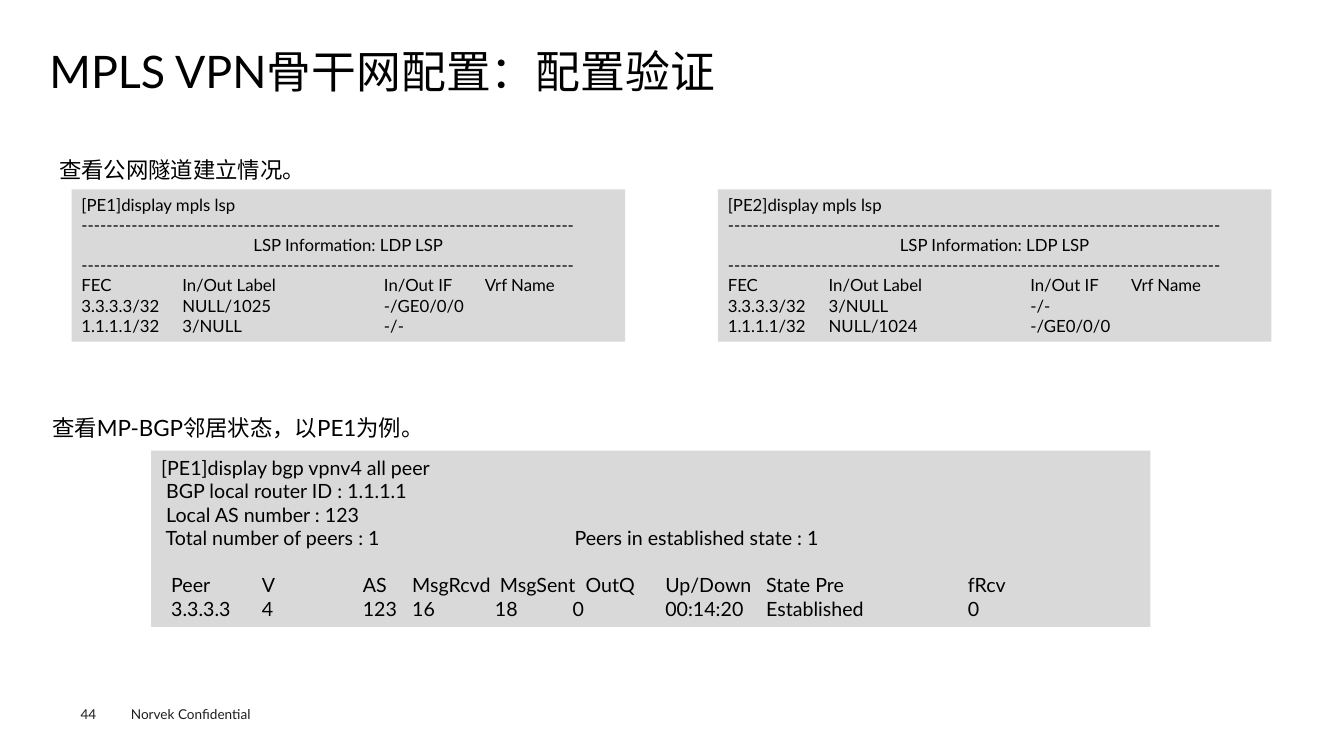
from lxml.etree import SubElement
from pptx import Presentation
from pptx.dml.color import RGBColor
from pptx.enum.shapes import MSO_SHAPE
from pptx.enum.text import MSO_ANCHOR, PP_ALIGN
from pptx.oxml.ns import qn
from pptx.util import Pt

PX = 9144
FONT = "Lato"
BLACK = RGBColor(0x00, 0x00, 0x00)
FOOTER_INK = RGBColor(0x1D, 0x1D, 0x1B)
PANEL_GREY = RGBColor(0xD9, 0xD9, 0xD9)

RULE = "-" * 79
LSP_TITLE = "LSP Information: LDP LSP"
LSP_HEADER = "FEC\tIn/Out Label\tIn/Out IF\tVrf Name"
LSP_TABS = (100, 300, 400)
LSP_ROWS = {
    "PE1": ("3.3.3.3/32\tNULL/1025\t-/GE0/0/0", "1.1.1.1/32\t3/NULL\t-/-"),
    "PE2": ("3.3.3.3/32\t3/NULL\t-/-", "1.1.1.1/32\tNULL/1024\t-/GE0/0/0"),
}
BGP_SUMMARY = (
    "[PE1]display bgp vpnv4 all peer",
    " BGP local router ID : 1.1.1.1",
    " Local AS number : 123",
    " Total number of peers : 1\tPeers in established state : 1",
)
BGP_HEADER = "  Peer\tV\tAS\tMsgRcvd\tMsgSent\tOutQ\tUp/Down\tState Pre\tfRcv"
BGP_PEER = "  3.3.3.3\t4\t123\t16\t18\t0\t00:14:20\tEstablished\t0"
SUMMARY_TABS = (410,)
HEADER_TABS = (100, 200, 249, 336, 421, 500, 600, 800)
PEER_TABS = (100, 200, 249, 331, 408, 500, 600, 800)


def to_emu(box):
    """Turn a box in px into EMU."""
    return [length * PX for length in box]


def write_line(paragraph, text, size, color=BLACK, align=PP_ALIGN.LEFT, tabs=()):
    """Write one line as a run, with its tab stops in px."""
    paragraph.alignment = align
    if tabs:
        stops = SubElement(paragraph._p.get_or_add_pPr(), qn("a:tabLst"))
        for stop in tabs:
            SubElement(stops, qn("a:tab"), pos=str(stop * PX), algn="l")
    run = paragraph.add_run()
    run.text = text
    run.font.name = FONT
    run.font.size = Pt(size)
    run.font.color.rgb = color


def clear_margins(frame):
    """Remove the inner margins of a text frame."""
    frame.margin_left = frame.margin_right = 0
    frame.margin_top = frame.margin_bottom = 0


def add_title(slide, box, text):
    """Place and fill the title placeholder."""
    title = slide.shapes.title
    title.left, title.top, title.width, title.height = to_emu(box)
    frame = title.text_frame
    clear_margins(frame)
    frame.vertical_anchor = MSO_ANCHOR.TOP
    frame.paragraphs[0].line_spacing = 0.9
    write_line(frame.paragraphs[0], text, 32)


def add_label(slide, box, text, size, color=BLACK):
    """Add a one-line text box and return its frame."""
    frame = slide.shapes.add_textbox(*to_emu(box)).text_frame
    frame.word_wrap = True
    write_line(frame.paragraphs[0], text, size, color)
    return frame


def add_caption(slide, box, text):
    """Add the sentence that introduces a console panel."""
    frame = add_label(slide, box, text, 16)
    frame.paragraphs[0].line_spacing = 1.5


def add_console(slide, box):
    """Add a grey console panel and return its text frame."""
    panel = slide.shapes.add_shape(MSO_SHAPE.RECTANGLE, *to_emu(box))
    panel.shadow.inherit = False
    panel.fill.solid()
    panel.fill.fore_color.rgb = PANEL_GREY
    panel.line.fill.background()
    frame = panel.text_frame
    frame.word_wrap = True
    frame.vertical_anchor = MSO_ANCHOR.TOP
    return frame


def add_lsp_console(slide, box, router):
    """Show the label switched paths of one router."""
    frame = add_console(slide, box)
    write_line(frame.paragraphs[0], f"[{router}]display mpls lsp", 12)
    for text in (RULE, LSP_TITLE, RULE):
        align = PP_ALIGN.CENTER if text == LSP_TITLE else PP_ALIGN.LEFT
        write_line(frame.add_paragraph(), text, 12, align=align)
    for row in (LSP_HEADER, *LSP_ROWS[router]):
        write_line(frame.add_paragraph(), row, 12, tabs=LSP_TABS)


def add_bgp_console(slide, box):
    """Show the BGP summary and its peer table."""
    frame = add_console(slide, box)
    write_line(frame.paragraphs[0], BGP_SUMMARY[0], 14)
    for text in BGP_SUMMARY[1:]:
        write_line(frame.add_paragraph(), text, 14, tabs=SUMMARY_TABS)
    header = frame.add_paragraph()
    header.space_before = Pt(16.8)
    write_line(header, BGP_HEADER, 14, tabs=HEADER_TABS)
    write_line(frame.add_paragraph(), BGP_PEER, 14, tabs=PEER_TABS)


def add_footer(slide, box):
    """Add the page number and the confidentiality note."""
    left, top, width, height = box
    number = add_label(slide, (left, top + 5, 40, 16), "44", 9.7, FOOTER_INK)
    clear_margins(number)
    note_box = (left + 40, top, width - 40, height)
    add_label(slide, note_box, "Norvek Confidential", 9.7, FOOTER_INK)


def main():
    """Build the slide and save it."""
    deck = Presentation()
    deck.slide_width, deck.slide_height = to_emu((1333, 750))
    slide = deck.slides.add_slide(deck.slide_layouts[5])
    add_title(slide, (49, 49, 1235, 54), "MPLS VPN骨干网配置：配置验证")
    add_caption(slide, (49, 137, 1236, 50), "查看公网隧道建立情况。")
    for column, router in enumerate(LSP_ROWS):
        add_lsp_console(slide, (71 + 641 * column, 188, 549, 151), router)
    add_caption(slide, (42, 393, 1236, 50), "查看MP-BGP邻居状态，以PE1为例。")
    add_bgp_console(slide, (150, 447, 991, 175))
    add_footer(slide, (80, 695, 200, 27))
    deck.save("out.pptx")


if __name__ == "__main__":
    main()
